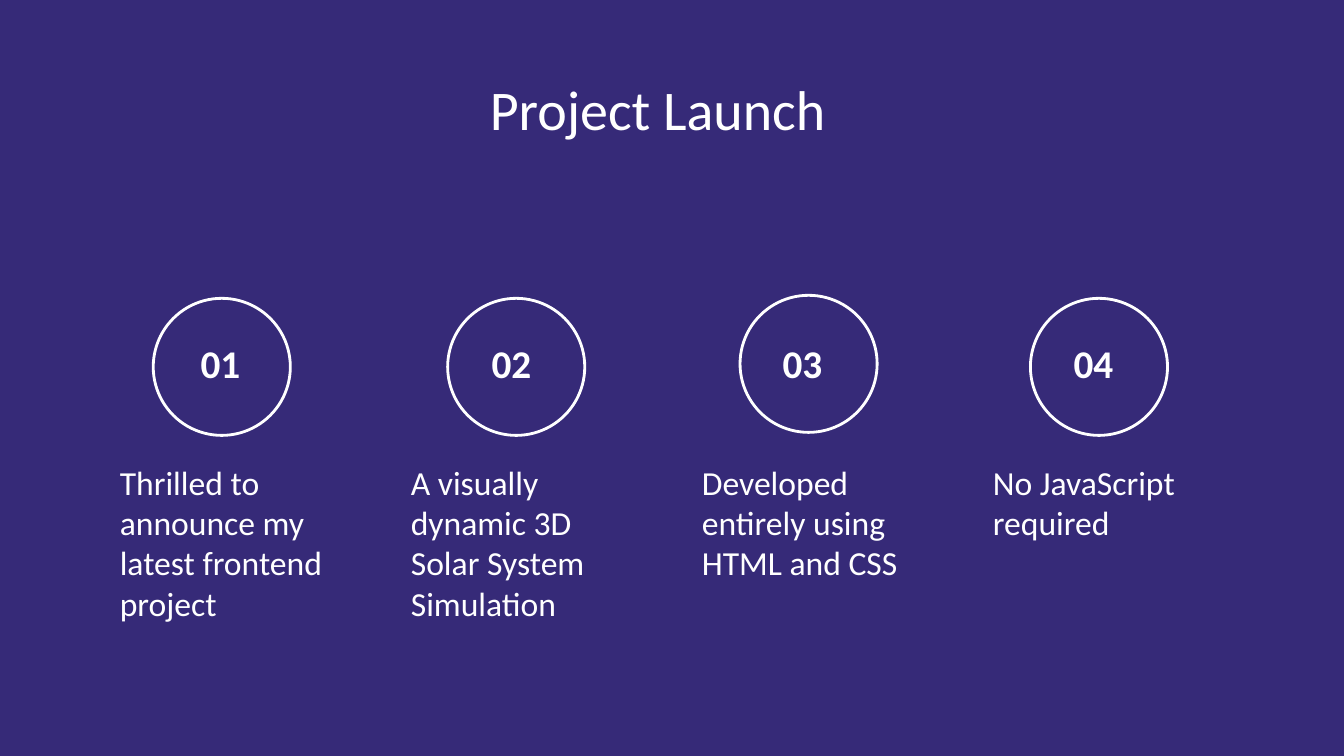
from dataclasses import dataclass

from pptx import Presentation
from pptx.dml.color import RGBColor
from pptx.enum.shapes import MSO_SHAPE
from pptx.enum.text import MSO_AUTO_SIZE
from pptx.shapes.autoshape import Shape
from pptx.slide import Slide
from pptx.util import Inches, Pt

WHITE = RGBColor(0xFF, 0xFF, 0xFF)
PURPLE = RGBColor(0x36, 0x2A, 0x78)
FONT = "Calibri"
WIDTH, HEIGHT = 13.33, 7.5
STEP = 8.66 / 3
RING = 1.36


@dataclass
class Point:
    text: str
    ring_x: float
    ring_y: float
    height: float


POINTS = [
    Point("Thrilled to announce my latest frontend project", 1.52, 2.96, 1.72),
    Point("A visually dynamic 3D Solar System Simulation", 4.44, 2.96, 1.72),
    Point("Developed entirely using HTML and CSS", 7.34, 2.93, 1.31),
    Point("No JavaScript required", 10.22, 2.96, 0.91),
]


def add_form(slide: Slide, kind: MSO_SHAPE, x: float, y: float,
             w: float, h: float) -> Shape:
    form = slide.shapes.add_shape(kind, Inches(x), Inches(y), Inches(w), Inches(h))
    form.shadow.inherit = False
    return form


def add_text(slide: Slide, text: str, x: float, y: float, w: float, h: float,
             size: int, bold: bool = False, wrap: bool = True) -> None:
    box = slide.shapes.add_textbox(Inches(x), Inches(y), Inches(w), Inches(h))
    frame = box.text_frame
    frame.word_wrap = wrap
    frame.auto_size = MSO_AUTO_SIZE.SHAPE_TO_FIT_TEXT
    run = frame.paragraphs[0].add_run()
    run.text = text
    run.font.name = FONT
    run.font.size = Pt(size)
    run.font.bold = bold
    run.font.color.rgb = WHITE


def add_ring(slide: Slide, x: float, y: float) -> None:
    ring = add_form(slide, MSO_SHAPE.OVAL, x, y, RING, RING)
    ring.fill.background()
    ring.line.color.rgb = WHITE
    ring.line.width = Pt(2)


def add_point(slide: Slide, index: int, point: Point) -> None:
    """Draw one column: ring, number and wording."""
    shift = index * STEP
    add_ring(slide, point.ring_x, point.ring_y)
    add_text(slide, f"{index + 1:02}", 1.89 + shift, 3.32, 0.59, 0.57, 28,
             bold=True, wrap=False)
    add_text(slide, point.text, 1.09 + shift, 4.53, 2.37, point.height, 24)


def main() -> None:
    deck = Presentation()
    deck.slide_width = Inches(WIDTH)
    deck.slide_height = Inches(HEIGHT)
    slide = deck.slides.add_slide(deck.slide_layouts[6])
    ground = add_form(slide, MSO_SHAPE.RECTANGLE, 0, 0, WIDTH, HEIGHT)
    ground.fill.solid()
    ground.fill.fore_color.rgb = PURPLE
    ground.line.fill.background()
    add_text(slide, "Project Launch", 4.76, 0.69, 3.82, 0.77, 40)
    for index, point in enumerate(POINTS):
        add_point(slide, index, point)
    deck.save("out.pptx")


if __name__ == "__main__":
    main()
